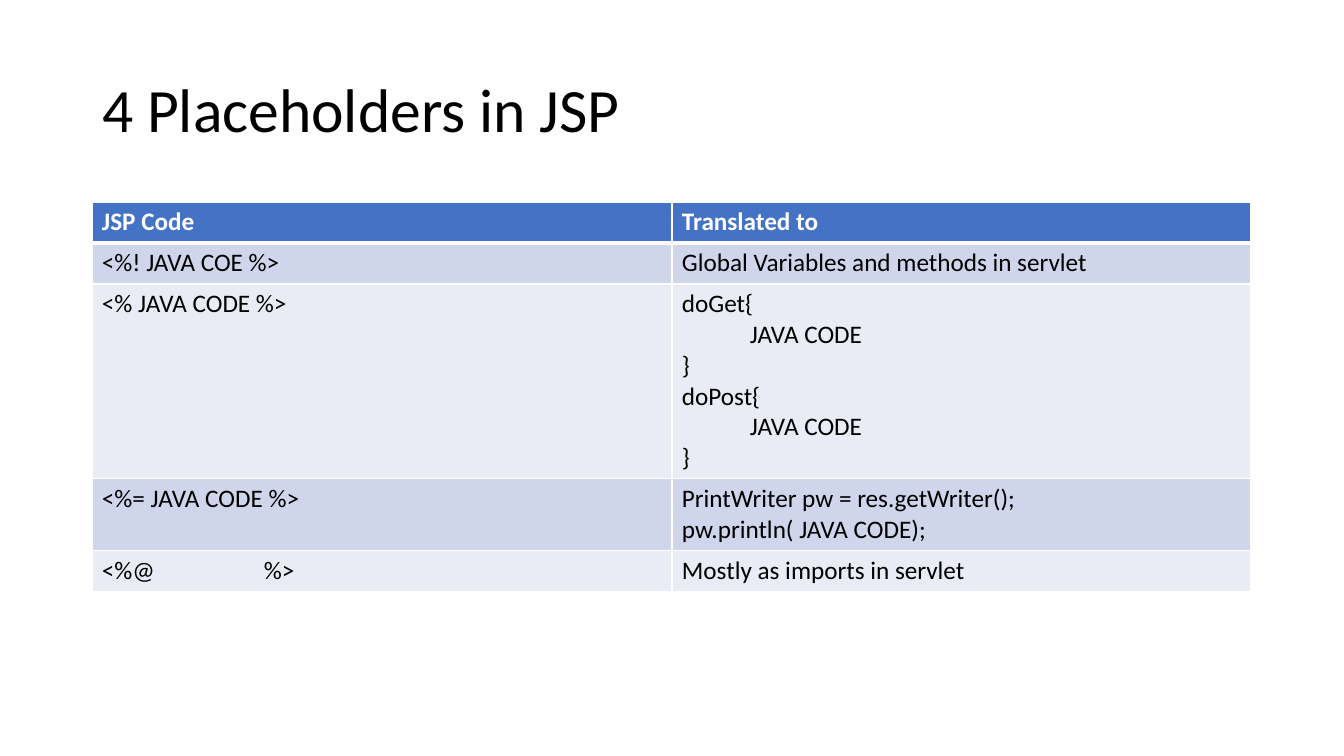
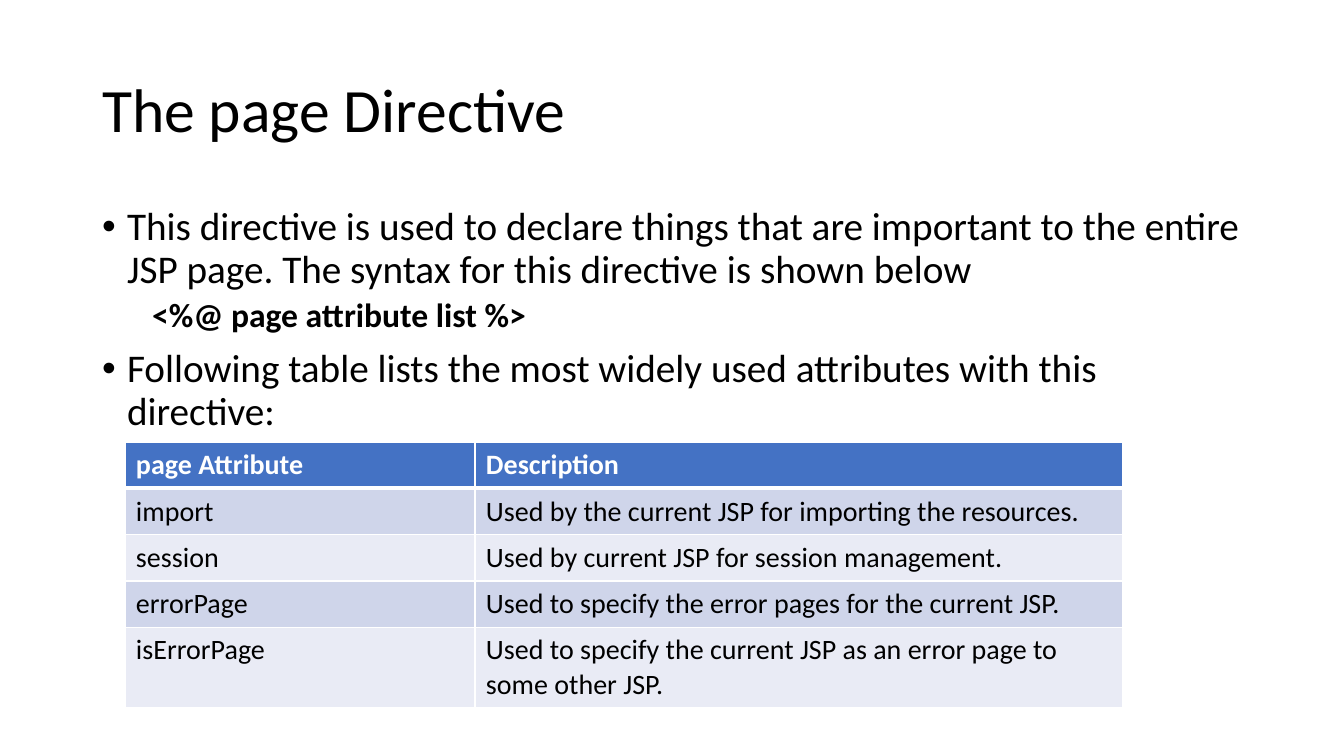
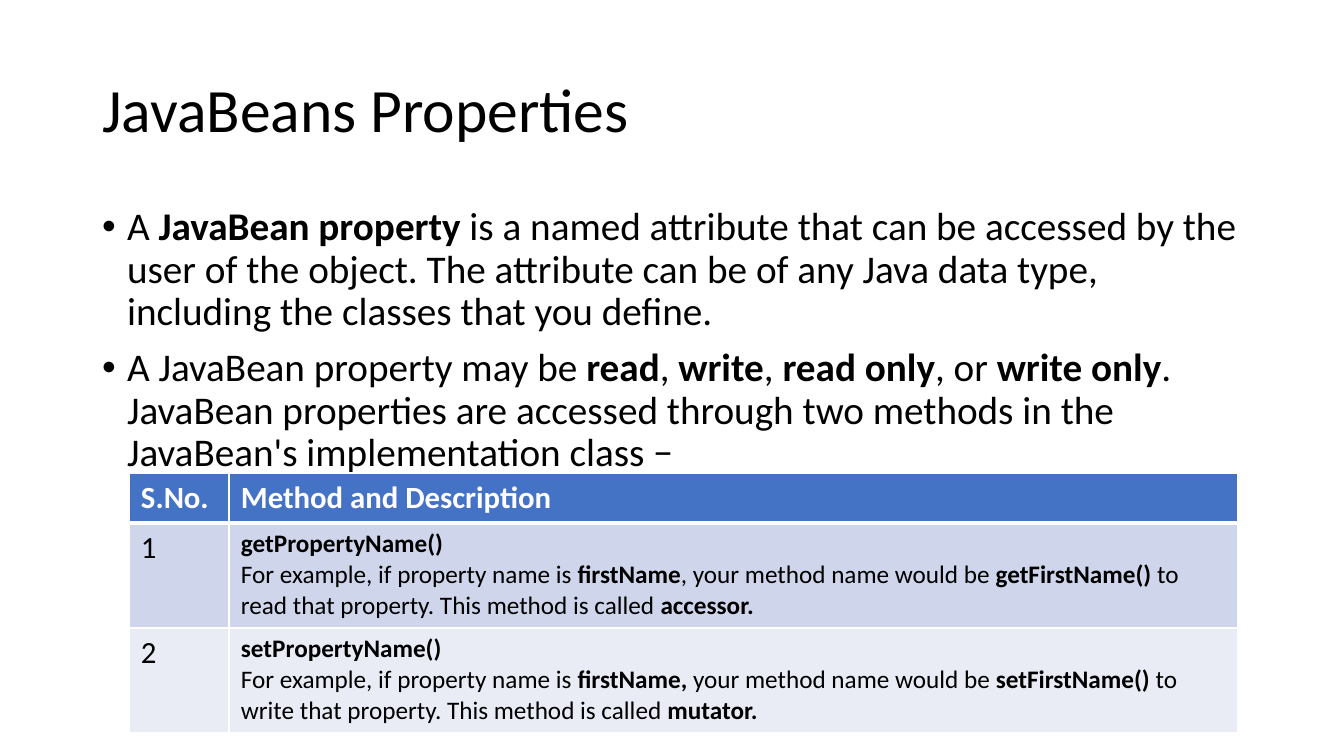
from lxml.etree import SubElement
from pptx import Presentation
from pptx.dml.color import RGBColor
from pptx.enum.text import MSO_ANCHOR, MSO_AUTO_SIZE, PP_ALIGN
from pptx.oxml.ns import qn
from pptx.util import Inches, Pt

FONT = "Calibri"
BLACK = RGBColor(0x00, 0x00, 0x00)
WHITE = RGBColor(0xFF, 0xFF, 0xFF)
HEADER_BLUE = RGBColor(0x44, 0x72, 0xC4)
BANDS = (RGBColor(0xCF, 0xD5, 0xEA), RGBColor(0xE9, 0xEB, 0xF5))

TITLE_AREA = (92, 40, 1159, 146)
BODY_AREA = (92, 202, 1159, 480)
TAB_STOPS = (68, 162)
TITLE_AND_BODY, TITLE_ONLY = 1, 5


def px(length):
    return round(length * Inches(1) / 100.8)


def place(shape, area):
    shape.left, shape.top, shape.width, shape.height = map(px, area)


def write(para, text, size, color=BLACK, bold=False):
    para.font.name = FONT
    para.font.size = Pt(size)
    para.font.color.rgb = color
    para.font.bold = bold
    for number, part in enumerate(text.split("*")):
        if part:
            span = para.add_run()
            span.text = part
            if number % 2:
                span.font.bold = True


def paragraphs(frame, count):
    for _ in range(count - 1):
        frame.add_paragraph()
    return frame.paragraphs


def add_page(deck, layout, title):
    page = deck.slides.add_slide(deck.slide_layouts[layout])
    box = page.shapes.title
    place(box, TITLE_AREA)
    box.text_frame.auto_size = MSO_AUTO_SIZE.NONE
    box.text_frame.vertical_anchor = MSO_ANCHOR.MIDDLE
    para = box.text_frame.paragraphs[0]
    para.alignment = PP_ALIGN.LEFT
    para.line_spacing = 0.9
    write(para, title, 44)
    return page


def set_bullet(para, margin, indent, mark):
    properties = para._p.get_or_add_pPr()
    properties.set("marL", str(px(margin)))
    properties.set("indent", str(px(indent)))
    if mark:
        SubElement(properties, qn("a:buFont"), typeface="Arial")
        SubElement(properties, qn("a:buChar"), char=mark)
    else:
        SubElement(properties, qn("a:buNone"))


def fill_body(page, items):
    box = page.placeholders[1]
    place(box, BODY_AREA)
    frame = box.text_frame
    frame.auto_size = MSO_AUTO_SIZE.NONE
    for para, (level, text) in zip(paragraphs(frame, len(items)), items):
        para.level = level
        if level:
            set_bullet(para, 50, 0, None)
        else:
            set_bullet(para, 25, -25, "•")
        para.line_spacing = 0.9
        para.space_before = Pt(5 if level else 10)
        write(para, text, 24 if level else 28)


def set_borders(cell, top, bottom):
    properties = cell._tc.get_or_add_tcPr()
    for side, points in (("L", 1), ("R", 1), ("T", top), ("B", bottom)):
        line = SubElement(properties, qn(f"a:ln{side}"), w=str(Pt(points)))
        fill = SubElement(line, qn("a:solidFill"))
        SubElement(fill, qn("a:srgbClr"), val=str(WHITE))


def set_tabs(para):
    tabs = SubElement(para._p.get_or_add_pPr(), qn("a:tabLst"))
    for stop in TAB_STOPS:
        SubElement(tabs, qn("a:tab"), pos=str(px(stop)), algn="l")


def fill_cell(cell, text, row, size, margins):
    header = row == 0
    across, down = map(px, margins)
    cell.margin_left = cell.margin_right = across
    cell.margin_top = cell.margin_bottom = down
    set_borders(cell, 3 if row == 1 else 1, 3 if header else 1)
    cell.fill.solid()
    cell.fill.fore_color.rgb = HEADER_BLUE if header else BANDS[(row - 1) % 2]
    lines = text.split("\n")
    for para, line in zip(paragraphs(cell.text_frame, len(lines)), lines):
        if "\t" in line:
            set_tabs(para)
        write(para, line, size, WHITE if header else BLACK, header)


def add_grid(page, corner, widths, heights, rows, header_size, body_sizes, margins):
    area = (*corner, sum(widths), sum(heights))
    grid = page.shapes.add_table(len(rows), len(widths), *map(px, area)).table
    for column, width in zip(grid.columns, widths):
        column.width = px(width)
    for number, (height, texts) in enumerate(zip(heights, rows)):
        grid.rows[number].height = px(height)
        for column, text in enumerate(texts):
            size = body_sizes[column] if number else header_size
            fill_cell(grid.cell(number, column), text, number, size, margins)


def placeholders_page(deck):
    page = add_page(deck, TITLE_ONLY, "4 Placeholders in JSP")
    rows = [
        ("JSP Code", "Translated to"),
        ("<%! JAVA COE %>", "Global Variables and methods in servlet"),
        ("<% JAVA CODE %>", "doGet{\n\tJAVA CODE\n}\ndoPost{\n\tJAVA CODE\n}"),
        ("<%= JAVA CODE %>", "PrintWriter pw = res.getWriter();\npw.println( JAVA CODE);"),
        ("<%@\t\t%>", "Mostly as imports in servlet"),
    ]
    add_grid(page, (92, 202), (580, 579), (41, 41, 194, 72, 41), rows, 18, (18, 18), (10, 5))


def directive_page(deck):
    page = add_page(deck, TITLE_AND_BODY, "The page Directive")
    fill_body(page, [
        (0, "This directive is used to declare things that are important to the entire "
            "JSP page. The syntax for this directive is shown below"),
        (1, "*<%@ page attribute list %>*"),
        (0, "Following table lists the most widely used attributes with this directive:"),
    ])
    rows = [
        ("page Attribute", "Description"),
        ("import", "Used by the current JSP for importing the resources."),
        ("session", "Used by current JSP for session management."),
        ("errorPage", "Used to specify the error pages for the current JSP."),
        ("isErrorPage", "Used to specify the current JSP as an error page to some other JSP."),
    ]
    add_grid(page, (125, 442), (350, 648), (45, 45, 45, 45, 79), rows, 20, (20, 20), (11, 6))


def method_text(prefix, named, action, role):
    return (f"*{prefix}PropertyName()*\n"
            f"For example, if property name is {named}your method name would be "
            f"*{prefix}FirstName() *to {action} that property. This method is called *{role}.*")


def properties_page(deck):
    page = add_page(deck, TITLE_AND_BODY, "JavaBeans Properties")
    fill_body(page, [
        (0, "A *JavaBean property *is a named attribute that can be accessed by the user "
            "of the object. The attribute can be of any Java data type, including the "
            "classes that you define."),
        (0, "A JavaBean property may be *read*, *write*, *read only*, or *write only*. "
            "JavaBean properties are accessed through two methods in the JavaBean's "
            "implementation class −"),
    ])
    rows = [
        ("S.No.", "Method and Description"),
        ("1", method_text("get", "*firstName*, ", "read", "accessor")),
        ("2", method_text("set", "*firstName, *", "write", "mutator")),
    ]
    add_grid(page, (129, 473), (100, 1009), (50, 105, 105), rows, 22, (22, 18), (12, 6))


def main():
    deck = Presentation()
    deck.slide_width, deck.slide_height = px(1344), px(756)
    placeholders_page(deck)
    directive_page(deck)
    properties_page(deck)
    deck.save("out.pptx")


if __name__ == "__main__":
    main()
